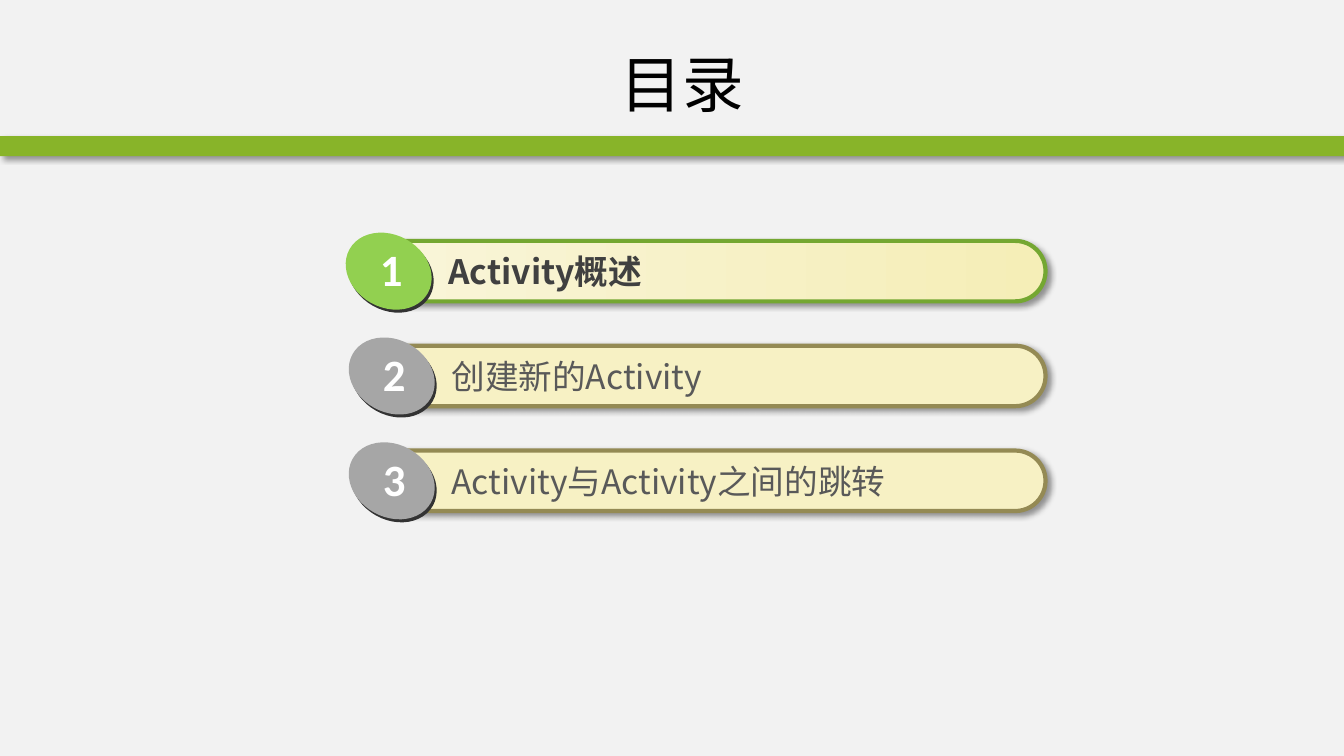
from lxml.etree import SubElement
from pptx import Presentation
from pptx.dml.color import RGBColor
from pptx.enum.shapes import MSO_SHAPE
from pptx.enum.text import MSO_ANCHOR, MSO_AUTO_SIZE, PP_ALIGN
from pptx.oxml.ns import qn
from pptx.util import Inches, Pt

COLORS = {key: RGBColor.from_string(value) for key, value in {
    "background": "F2F2F2", "band": "88B429", "title": "000000",
    "active_start": "F9F5D9", "active_end": "F5EEB7", "active_line": "74A731",
    "active_disc": "92D050", "active_text": "404040",
    "bar": "F7F1C4", "bar_line": "948A54", "disc": "A6A6A6", "text": "595959",
    "disc_edge": "333333", "shadow": "000000", "number": "FFFFFF"}.items()}
CJK_FONT = "Noto Sans CJK SC"
WIDTH, HEIGHT = 13.33, 7.5
ROW_TOP, ROW_PITCH, BAR_HEIGHT = 2.39, 1.04, 0.6
BAR_RIGHT, LABEL_RIGHT = 10.37, 9.71

prs = Presentation()
prs.slide_width, prs.slide_height = Inches(WIDTH), Inches(HEIGHT)
slide = prs.slides.add_slide(prs.slide_layouts[6])
slide.background.fill.solid()
slide.background.fill.fore_color.rgb = COLORS["background"]


def add_block(preset, box, fill, line=None, shadow=False):
    """Add a filled shape; box is left, top, width, height in inches."""
    block = slide.shapes.add_shape(preset, *map(Inches, box))
    block.fill.solid()
    block.fill.fore_color.rgb = COLORS[fill]
    if line:
        block.line.color.rgb = COLORS[line]
        block.line.width = Pt(3)
    else:
        block.line.fill.background()
    block.shadow.inherit = False
    if shadow:
        effects = block._element.spPr.find(qn("a:effectLst"))
        outer = SubElement(effects, qn("a:outerShdw"), blurRad=str(Pt(4)),
                           dist=str(Pt(3)), dir=str(45 * 60000),
                           algn="tl", rotWithShape="0")
        color = SubElement(outer, qn("a:srgbClr"), val=str(COLORS["shadow"]))
        SubElement(color, qn("a:alpha"), val="40000")
    return block


def add_text(words, box, size, font, color, bold=False, wrap=True):
    """Add a one-paragraph text box; box is left, top, width, height in inches."""
    frame = slide.shapes.add_textbox(*map(Inches, box)).text_frame
    frame.word_wrap = wrap
    frame.auto_size = MSO_AUTO_SIZE.SHAPE_TO_FIT_TEXT
    frame.text = words
    run = frame.paragraphs[0].runs[0]
    run.font.size, run.font.bold, run.font.name = Pt(size), bold, font
    run.font.color.rgb = COLORS[color]
    SubElement(run.font._element, qn("a:ea"), typeface=font)
    return frame


add_block(MSO_SHAPE.RECTANGLE, (0, 1.35, WIDTH, 0.2), "band", shadow=True)

title = add_text("目录", (1.39, 0.3, 10.76, 1.05), 44, CJK_FONT, "title")
title.auto_size = MSO_AUTO_SIZE.NONE
title.vertical_anchor = MSO_ANCHOR.MIDDLE
title.paragraphs[0].alignment = PP_ALIGN.CENTER

chapters = ["Activity概述", "创建新的Activity", "Activity与Activity之间的跳转"]
for row, chapter in enumerate(chapters):
    active = row == 0
    prefix = "active_" if active else ""
    left = 3.63 if active else 3.66
    top = ROW_TOP + row * ROW_PITCH

    bar = add_block(MSO_SHAPE.ROUNDED_RECTANGLE,
                    (left, top, BAR_RIGHT - left, BAR_HEIGHT),
                    "bar", prefix + "line" if active else "bar_line", shadow=True)
    bar.adjustments[0] = 0.5
    if active:
        bar.fill.gradient()
        bar.fill.gradient_angle = 0
        for stop, shade in zip(bar.fill.gradient_stops, ("active_start", "active_end")):
            stop.color.rgb = COLORS[shade]

    label_left = left + 0.72
    add_text(chapter, (label_left, top + 0.05, LABEL_RIGHT - label_left, 0.5),
             24, CJK_FONT, prefix + "text", bold=active)

    for dx, dy, fill in ((-0.2, -0.03, "disc_edge"), (-0.22, -0.06, prefix + "disc")):
        disc = add_block(MSO_SHAPE.OVAL, (left + dx, top + dy, 0.89, 0.72), fill)
        disc.rotation = 29.3

    add_text(str(row + 1), (left + 0.04, top - 0.04, 0.43, 0.64),
             32, "Calibri", "number", bold=True, wrap=False)

prs.save("out.pptx")
